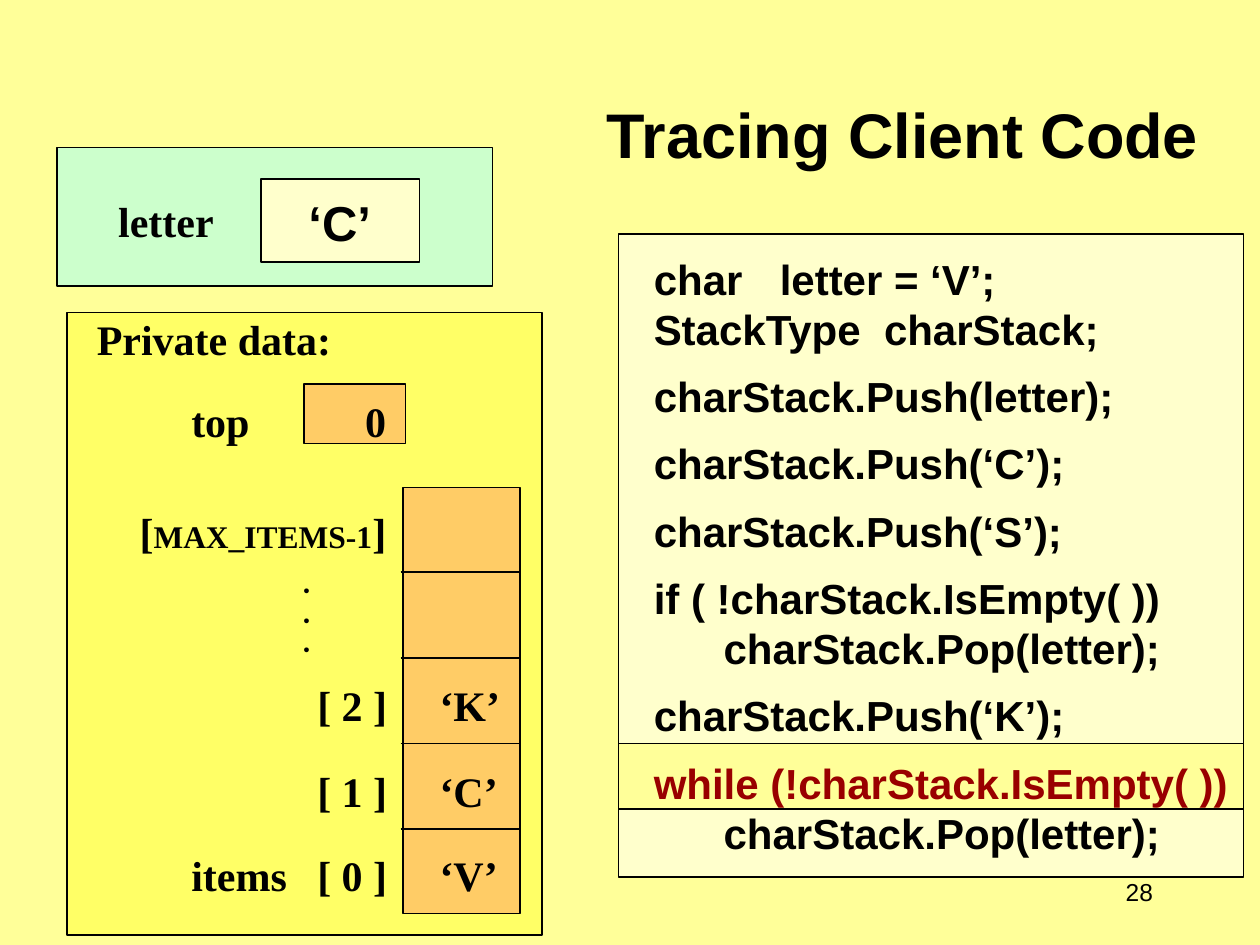
import pptx
import pptx.util
import pptx.dml.color
import pptx.enum.shapes
import pptx.enum.text
import pptx.oxml.ns
import lxml.etree

Inches = pptx.util.Inches
Pt = pptx.util.Pt
ALIGN = pptx.enum.text.PP_ALIGN
ANCHOR = pptx.enum.text.MSO_ANCHOR

COLORS = {
    "background": "FFFF99",
    "ink": "000000",
    "code": "FFFFCC",
    "current": "990000",
    "object": "FFFF66",
    "cell": "FFCC66",
    "client": "CCFFCC",
}


class TraceSlide:
    serif = "Times New Roman"
    sans = "Arial"

    def __init__(self, slide):
        self.slide = slide
        slide.background.fill.solid()
        slide.background.fill.fore_color.rgb = self.color("background")

    def color(self, name):
        return pptx.dml.color.RGBColor.from_string(COLORS[name])

    def box(self, left, top, width, height, fill):
        shape = self.slide.shapes.add_shape(
            pptx.enum.shapes.MSO_SHAPE.RECTANGLE,
            Inches(left), Inches(top), Inches(width), Inches(height))
        shape.shadow.inherit = False
        shape.fill.solid()
        shape.fill.fore_color.rgb = self.color(fill)
        shape.line.color.rgb = self.color("ink")
        shape.line.width = Pt(1)

    def rule(self, left, right, y):
        line = self.slide.shapes.add_connector(
            pptx.enum.shapes.MSO_CONNECTOR.STRAIGHT,
            Inches(left), Inches(y), Inches(right), Inches(y))
        line.line.color.rgb = self.color("ink")
        line.line.width = Pt(1)
        properties = line._element.spPr
        lxml.etree.SubElement(properties, pptx.oxml.ns.qn("a:effectLst"))

    def text(self, left, top, width, height, content, size=24, font=serif, bold=True,
             align=ALIGN.LEFT, anchor=ANCHOR.TOP, wrap=False):
        textbox = self.slide.shapes.add_textbox(
            Inches(left), Inches(top), Inches(width), Inches(height))
        frame = textbox.text_frame
        frame.text = content
        frame.word_wrap = wrap
        frame.vertical_anchor = anchor
        for paragraph in frame.paragraphs:
            paragraph.alignment = align
            for run in paragraph.runs:
                run.font.name = font
                run.font.size = Pt(size)
                run.font.bold = bold
                run.font.color.rgb = self.color("ink")
        return frame

    def code(self, left, top, width, height, statements, current):
        lines = [line for statement in statements for line in statement]
        frame = self.text(left, top, width, height, "\n".join(lines), font=self.sans, wrap=True)
        starts = {id(statement[0]) for statement in statements[1:]}
        for line, paragraph in zip(lines, frame.paragraphs):
            paragraph.line_spacing = Pt(28.8)
            if id(line) in starts and not line.startswith(" "):
                paragraph.space_before = Pt(9.6)
            if line == current:
                paragraph.runs[0].font.color.rgb = self.color("current")


def main():
    presentation = pptx.Presentation()
    presentation.slide_width = Inches(10)
    presentation.slide_height = Inches(7.5)
    trace = TraceSlide(presentation.slides.add_slide(presentation.slide_layouts[6]))

    trace.text(8.58, 6.83, 0.67, 0.5, "28", size=14, font=trace.sans, bold=False,
               align=ALIGN.RIGHT, anchor=ANCHOR.MIDDLE)

    current = "while (!charStack.IsEmpty( ))"
    pop = "      charStack.Pop(letter);"
    statements = [
        ["char\tletter = ‘V’;", "StackType  charStack;"],
        ["charStack.Push(letter);"],
        ["charStack.Push(‘C’);"],
        ["charStack.Push(‘S’);"],
        ["if ( !charStack.IsEmpty( ))", pop],
        ["charStack.Push(‘K’);"],
        [current, pop],
    ]
    trace.box(4.91, 1.86, 4.96, 5.1, "code")
    trace.box(4.91, 5.9, 4.96, 0.52, "background")
    trace.code(5.09, 1.96, 4.91, 4.9, statements, current)
    trace.text(4.33, 0.16, 5.67, 1.25, "Tracing Client Code", size=36, font=trace.sans,
               align=ALIGN.CENTER, anchor=ANCHOR.BOTTOM, wrap=True)

    trace.box(0.53, 2.48, 3.77, 4.94, "object")
    trace.box(2.41, 3.05, 0.81, 0.47, "cell")
    trace.box(3.2, 3.87, 0.93, 3.38, "cell")
    for row in range(4):
        trace.rule(3.18, 4.13, 4.54 + 0.68 * row)

    trace.box(0.45, 1.17, 3.46, 1.1, "client")
    trace.text(0.84, 1.5, 0.96, 0.5, "letter")
    trace.box(2.07, 1.42, 1.26, 0.66, "code")
    trace.text(2.35, 1.48, 0.7, 0.57, "‘C’", size=28, font=trace.sans)

    trace.text(0.67, 2.44, 2.1, 0.5, "Private data:")
    trace.text(1.42, 3.09, 0.7, 0.5, "top")
    trace.text(2.8, 3.09, 0.4, 0.5, "0")

    top_index = trace.text(1.01, 3.97, 2.2, 0.5, "[").paragraphs[0]
    for part, size in (("MAX_ITEMS-1", 18), ("]", 24)):
        run = top_index.add_run()
        run.text = part
        run.font.name = trace.serif
        run.font.size = Pt(size)
        run.font.bold = True
        run.font.color.rgb = trace.color("ink")

    trace.text(2.31, 4.47, 0.3, 0.8, ".\n.\n.", size=14, font="Montserrat")

    for index, item, top in ((2, "‘K’", 5.34), (1, "‘C’", 6.03), (0, "‘V’", 6.69)):
        trace.text(2.42, top, 0.76, 0.5, f"[ {index} ]")
        trace.text(3.39, top, 0.7, 0.5, item)
    trace.text(1.42, 6.69, 0.96, 0.5, "items")

    presentation.save("out.pptx")


if __name__ == "__main__":
    main()
